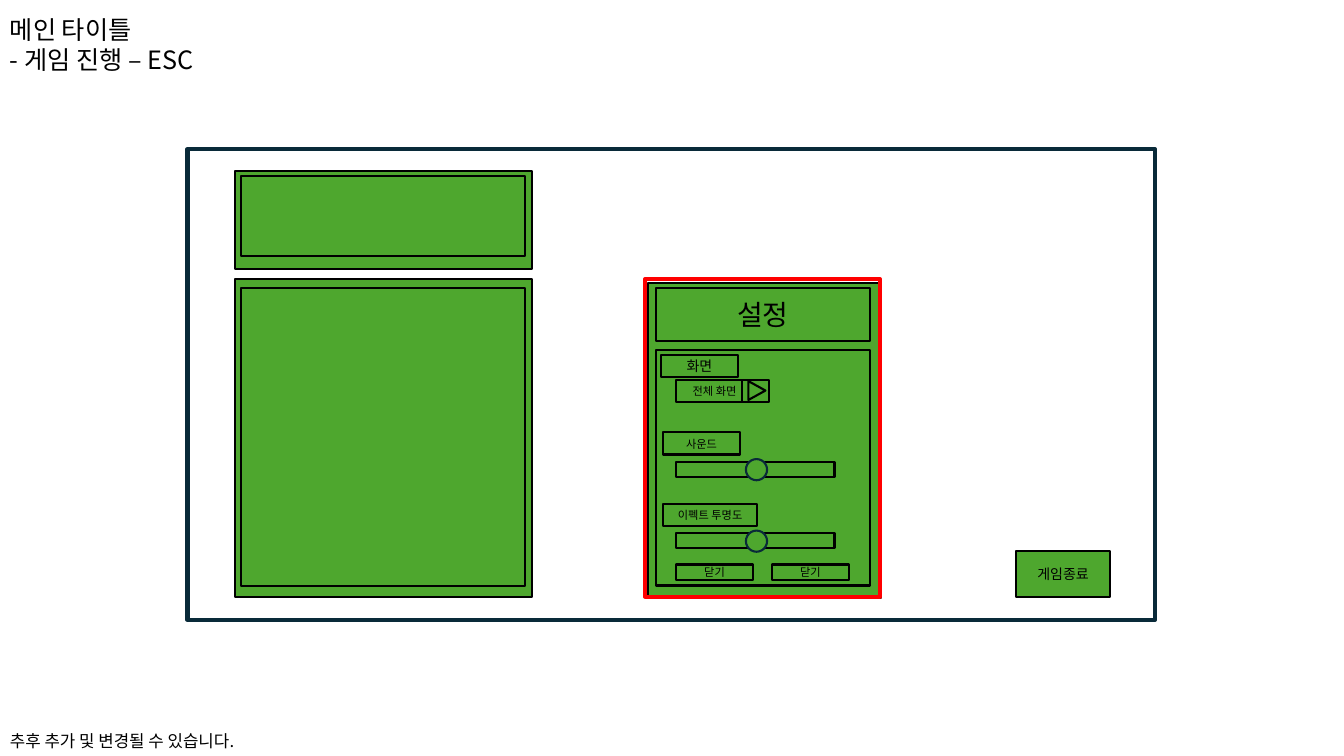
"""Build the in-game ESC menu wireframe with its settings panel."""
from dataclasses import dataclass
from typing import Optional

from lxml.etree import SubElement
from pptx import Presentation
from pptx.dml.color import RGBColor
from pptx.enum.shapes import MSO_SHAPE as Preset
from pptx.enum.text import MSO_ANCHOR as Anchor, PP_ALIGN as Align
from pptx.oxml.ns import qn
from pptx.shapes.autoshape import Shape
from pptx.slide import Slide
from pptx.util import Pt


@dataclass(frozen=True)
class Theme:
    """Colours, type sizes and line widths of the wireframe."""
    font: str = "Noto Sans CJK KR"
    black: str = "000000"
    white: str = "FFFFFF"
    green: str = "4EA72E"
    navy: str = "092A39"
    red: str = "FF0000"
    heading: float = 20
    title: float = 18
    note: float = 12
    label: float = 10
    small: float = 8
    thin: float = 1.5
    thick: float = 3


THEME = Theme()


@dataclass(frozen=True)
class Box:
    """An outlined part of the screen, measured in points."""
    left: float
    top: float
    width: float
    height: float
    text: str = ""
    size: float = THEME.small
    preset: Preset = Preset.RECTANGLE
    fill: Optional[str] = THEME.green
    line: str = THEME.black
    weight: float = THEME.thin
    rotation: float = 0


@dataclass(frozen=True)
class Caption:
    """Free text beside the screen, measured in points."""
    left: float
    top: float
    width: float
    height: float
    text: str
    size: float


def write(shape: Shape, text: str, size: float, align: Align) -> None:
    """Put one styled paragraph into a shape."""
    frame = shape.text_frame
    frame.word_wrap = True
    frame.vertical_anchor = Anchor.MIDDLE
    paragraph = frame.paragraphs[0]
    paragraph.text = text
    paragraph.alignment = align
    font = paragraph.font
    font.size = Pt(size)
    font.color.rgb = RGBColor.from_string(THEME.black)
    font.name = THEME.font
    defaults = paragraph._p.pPr.find(qn("a:defRPr"))
    SubElement(defaults, qn("a:ea"), typeface=THEME.font)


def draw_box(slide: Slide, box: Box) -> None:
    """Draw one box with its optional centred label."""
    shape = slide.shapes.add_shape(
        box.preset, Pt(box.left), Pt(box.top), Pt(box.width), Pt(box.height))
    shape.shadow.inherit = False
    shape.rotation = box.rotation
    if box.fill is None:
        shape.fill.background()
    else:
        shape.fill.solid()
        shape.fill.fore_color.rgb = RGBColor.from_string(box.fill)
    shape.line.color.rgb = RGBColor.from_string(box.line)
    shape.line.width = Pt(box.weight)
    if box.text:
        write(shape, box.text, box.size, Align.CENTER)


def draw_caption(slide: Slide, caption: Caption) -> None:
    """Draw one left-aligned caption."""
    shape = slide.shapes.add_textbox(
        Pt(caption.left), Pt(caption.top), Pt(caption.width), Pt(caption.height))
    write(shape, caption.text, caption.size, Align.LEFT)


def draw_slider(slide: Slide, top: float) -> None:
    """Draw a slider track with its round knob."""
    draw_box(slide, Box(CONTROL_LEFT, top, 113, 10.8))
    draw_box(slide, Box(532.8, top - 1.9, 15.1, 15.1,
                        preset=Preset.OVAL, line=THEME.navy))


CONTROL_LEFT = 483.1
BUTTON_WIDTH = 54.7
SLIDER_TOPS = (329.8, 380.9)

CAPTIONS = (
    Caption(0, 520.6, 306, 17.3, "추후 추가 및 변경될 수 있습니다.", THEME.note),
    Caption(0, 0, 258.5, 63.4, "메인 타이틀\v- 게임 진행 – ESC", THEME.title),
)

SCREEN = Box(133.9, 106.6, 691.2, 336.2, fill=THEME.white,
             line=THEME.navy, weight=THEME.thick)

SETTINGS = (
    Box(463, 202.3, 166.3, 224.6),
    Box(468.7, 249.8, 152.6, 168.5),
    Box(468.7, 205.9, 152.6, 37.4, "설정", THEME.heading),
    Box(472.3, 253.4, BUTTON_WIDTH, 15.8, "화면", THEME.label),
    Box(CONTROL_LEFT, 271.4, BUTTON_WIDTH, 15.8, "전체 화면"),
    Box(473.8, 308.9, BUTTON_WIDTH, 15.8, "사운드"),
    Box(473.8, 360, 67, 15.8, "이펙트 투명도"),
    Box(460.8, 199.4, 167.8, 226.8, fill=None, line=THEME.red,
        weight=THEME.thick),
    Box(529.9, 271.4, 19.4, 15.8),
    Box(533.9, 272.9, 13.5, 12.2, preset=Preset.ISOSCELES_TRIANGLE,
        rotation=90),
    Box(CONTROL_LEFT, 403.2, BUTTON_WIDTH, 10.8, "닫기"),
    Box(551.5, 403.2, BUTTON_WIDTH, 10.8, "닫기"),
)

SIDE_PANELS = (
    Box(167.8, 122.4, 212.4, 69.8),
    Box(172.1, 126, 203, 56.9),
    Box(167.8, 199.4, 212.4, 226.8),
    Box(172.1, 205.9, 203, 212.4),
)

QUIT_BUTTON = Box(725.8, 393.8, 67, 32.4, "게임종료", THEME.label)


def main() -> None:
    """Assemble the slide and save it."""
    deck = Presentation()
    deck.slide_width, deck.slide_height = Pt(960), Pt(540)
    slide = deck.slides.add_slide(deck.slide_layouts[6])
    draw_box(slide, SCREEN)
    for caption in CAPTIONS:
        draw_caption(slide, caption)
    for box in (*SETTINGS, *SIDE_PANELS, QUIT_BUTTON):
        draw_box(slide, box)
    for top in SLIDER_TOPS:
        draw_slider(slide, top)
    deck.save("out.pptx")


if __name__ == "__main__":
    main()
